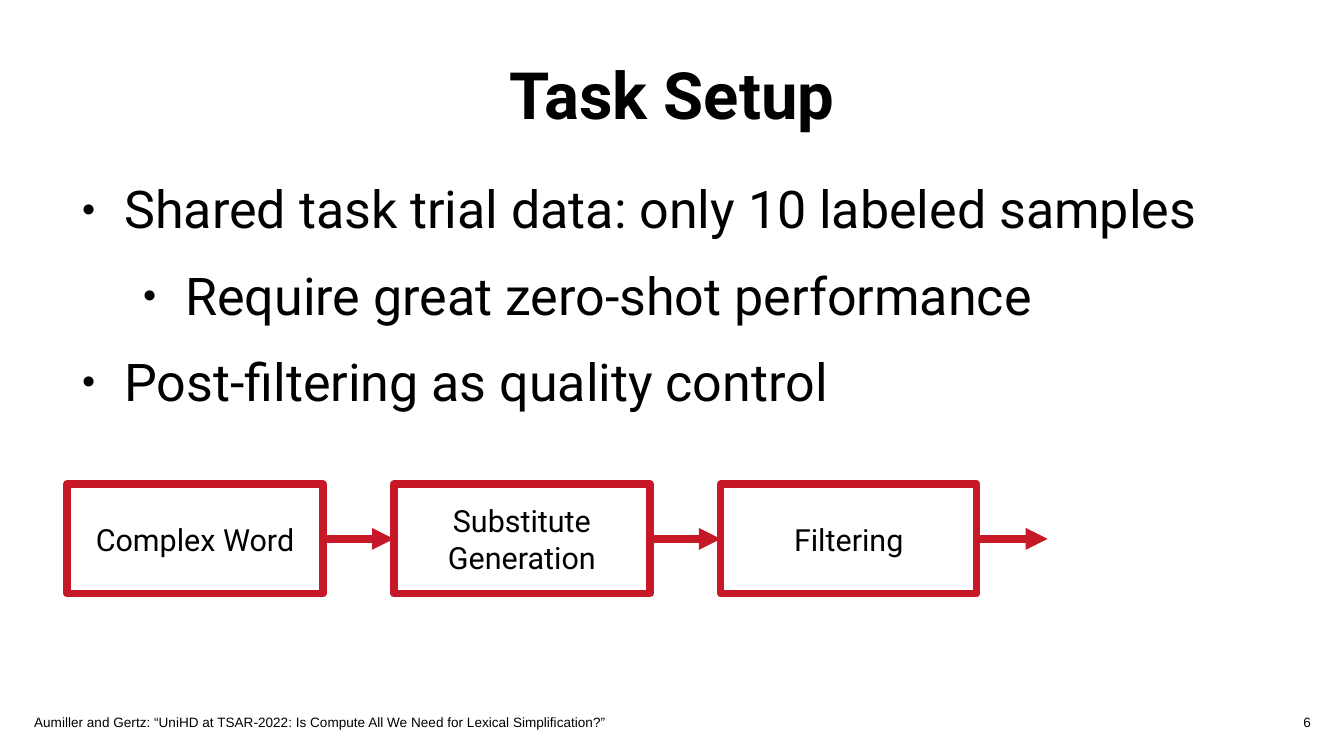
from dataclasses import dataclass

from lxml.etree import SubElement
from pptx import Presentation
from pptx.dml.color import RGBColor
from pptx.enum.shapes import MSO_CONNECTOR, MSO_SHAPE
from pptx.enum.text import MSO_ANCHOR, MSO_AUTO_SIZE, PP_ALIGN
from pptx.oxml.ns import qn
from pptx.util import Inches, Pt

TITLE = "Task Setup"
POINTS = [  # (level, text)
    (0, "Shared task trial data: only 10 labeled samples"),
    (1, "Require great zero-shot performance"),
    (0, "Post-filtering as quality control"),
]
STAGES = ["Complex Word", "Substitute\nGeneration", "Filtering"]
CITATION = "Aumiller and Gertz: “UniHD at TSAR-2022: Is Compute All We Need for Lexical Simplification?”"
PAGE = "6"


@dataclass(frozen=True)
class Theme:
    text: RGBColor = RGBColor(0x00, 0x00, 0x00)
    accent: RGBColor = RGBColor(0xC6, 0x18, 0x26)
    font: str = "Roboto"
    footer_font: str = "Arial"
    title_size: float = 38.5
    body_size: float = 30.7
    stage_size: float = 18
    footer_size: float = 8
    line_width: float = 4.31


THEME = Theme()
MARGIN = 0.55
STAGE_TOP, STAGE_WIDTH, STAGE_HEIGHT, STAGE_PITCH = 3.97, 2.1, 0.9, 2.68
BULLET_INDENT, LEVEL_STEP, BULLET_HANG = 0.47, 0.5, 0.35


def place(shape, left, top, width, height):
    shape.left, shape.top = Inches(left), Inches(top)
    shape.width, shape.height = Inches(width), Inches(height)


def set_frame(frame, anchor, inset_x=0, inset_y=0, wrap=True):
    frame.auto_size = MSO_AUTO_SIZE.NONE
    frame.word_wrap = wrap
    frame.vertical_anchor = anchor
    frame.margin_left = frame.margin_right = Inches(inset_x)
    frame.margin_top = frame.margin_bottom = Inches(inset_y)


def style_text(frame, size, align, font=THEME.font, bold=False):
    for paragraph in frame.paragraphs:
        paragraph.alignment = align
        paragraph.font.name = font
        paragraph.font.size = Pt(size)
        paragraph.font.bold = bold
        paragraph.font.color.rgb = THEME.text


def set_bullet(paragraph):
    """Give a paragraph a small hanging dot, indented by its level."""
    properties = paragraph._p.get_or_add_pPr()
    indent = BULLET_INDENT + LEVEL_STEP * paragraph.level
    properties.set("marL", str(Inches(indent)))
    properties.set("indent", str(-Inches(BULLET_HANG)))
    bullet_color = SubElement(properties, qn("a:buClr"))
    SubElement(bullet_color, qn("a:srgbClr"), val=str(THEME.text))
    SubElement(properties, qn("a:buSzPct"), val="45000")
    SubElement(properties, qn("a:buFont"), typeface=THEME.footer_font)
    SubElement(properties, qn("a:buChar"), char="●")


def add_title(slide):
    title = slide.shapes.title
    place(title, MARGIN, 0.25, 9.92, 1.03)
    title.text_frame.text = TITLE
    set_frame(title.text_frame, MSO_ANCHOR.MIDDLE)
    style_text(title.text_frame, THEME.title_size, PP_ALIGN.CENTER, bold=True)


def add_points(slide):
    body = slide.placeholders[1]
    place(body, MARGIN, 1.45, 10.19, 3.6)
    frame = body.text_frame
    frame.text = "\n".join(text for _, text in POINTS)
    set_frame(frame, MSO_ANCHOR.TOP)
    style_text(frame, THEME.body_size, PP_ALIGN.LEFT)
    for paragraph, (level, _) in zip(frame.paragraphs, POINTS):
        paragraph.level = level
        paragraph.space_before = Pt(14.2)
        set_bullet(paragraph)


def add_stage(slide, index, label):
    stage = slide.shapes.add_shape(
        MSO_SHAPE.RECTANGLE, Inches(MARGIN + index * STAGE_PITCH), Inches(STAGE_TOP),
        Inches(STAGE_WIDTH), Inches(STAGE_HEIGHT))
    stage.shadow.inherit = False
    stage.fill.background()
    stage.line.color.rgb = THEME.accent
    stage.line.width = Pt(THEME.line_width)
    stage.text_frame.text = label
    set_frame(stage.text_frame, MSO_ANCHOR.MIDDLE, 0.1, 0.05, wrap=False)
    style_text(stage.text_frame, THEME.stage_size, PP_ALIGN.CENTER)
    return stage


def add_arrow(slide, source, target=None):
    """Lead from a stage to the next one, or out of the last one."""
    start = source.left + source.width
    end = start + Inches(STAGE_PITCH - STAGE_WIDTH)
    middle = source.top + source.height // 2
    arrow = slide.shapes.add_connector(MSO_CONNECTOR.STRAIGHT, start, middle, end, middle)
    arrow.begin_connect(source, 3)
    if target is not None:
        arrow.end_connect(target, 1)
    arrow.line.color.rgb = THEME.accent
    arrow.line.width = Pt(THEME.line_width)
    SubElement(arrow.line._get_or_add_ln(), qn("a:tailEnd"), type="triangle")
    SubElement(arrow._element.spPr, qn("a:effectLst"))


def add_footer(slide, text, left, width, align):
    footer = slide.shapes.add_textbox(Inches(left), Inches(5.82), Inches(width), Inches(0.17))
    footer.text_frame.text = text
    set_frame(footer.text_frame, MSO_ANCHOR.BOTTOM)
    style_text(footer.text_frame, THEME.footer_size, align, THEME.footer_font)


def main():
    deck = Presentation()
    deck.slide_width, deck.slide_height = Inches(11.02), Inches(6.2)
    slide = deck.slides.add_slide(deck.slide_layouts[1])
    add_title(slide)
    add_points(slide)
    stages = [add_stage(slide, index, label) for index, label in enumerate(STAGES)]
    for source, target in zip(stages, stages[1:] + [None]):
        add_arrow(slide, source, target)
    add_footer(slide, CITATION, 0.28, 7.34, PP_ALIGN.LEFT)
    add_footer(slide, PAGE, 7.95, 2.8, PP_ALIGN.RIGHT)
    deck.save("out.pptx")


if __name__ == "__main__":
    main()
